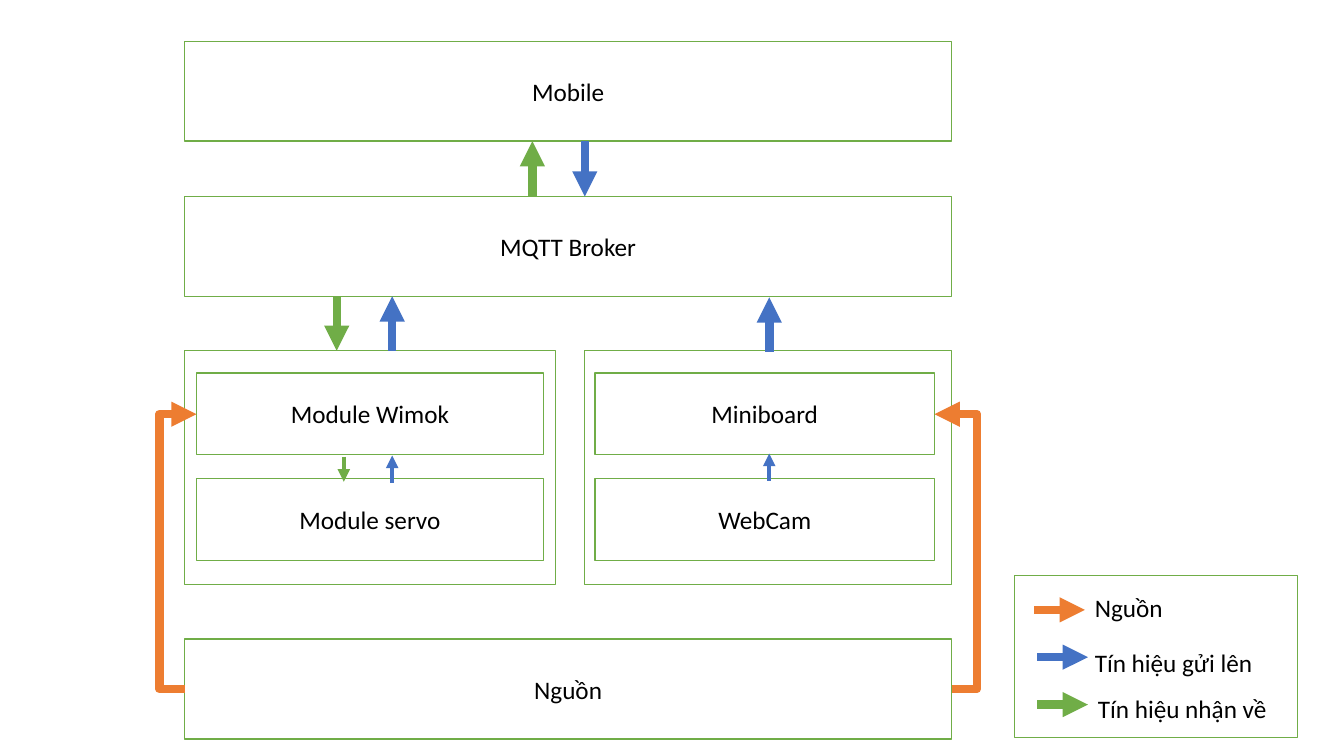
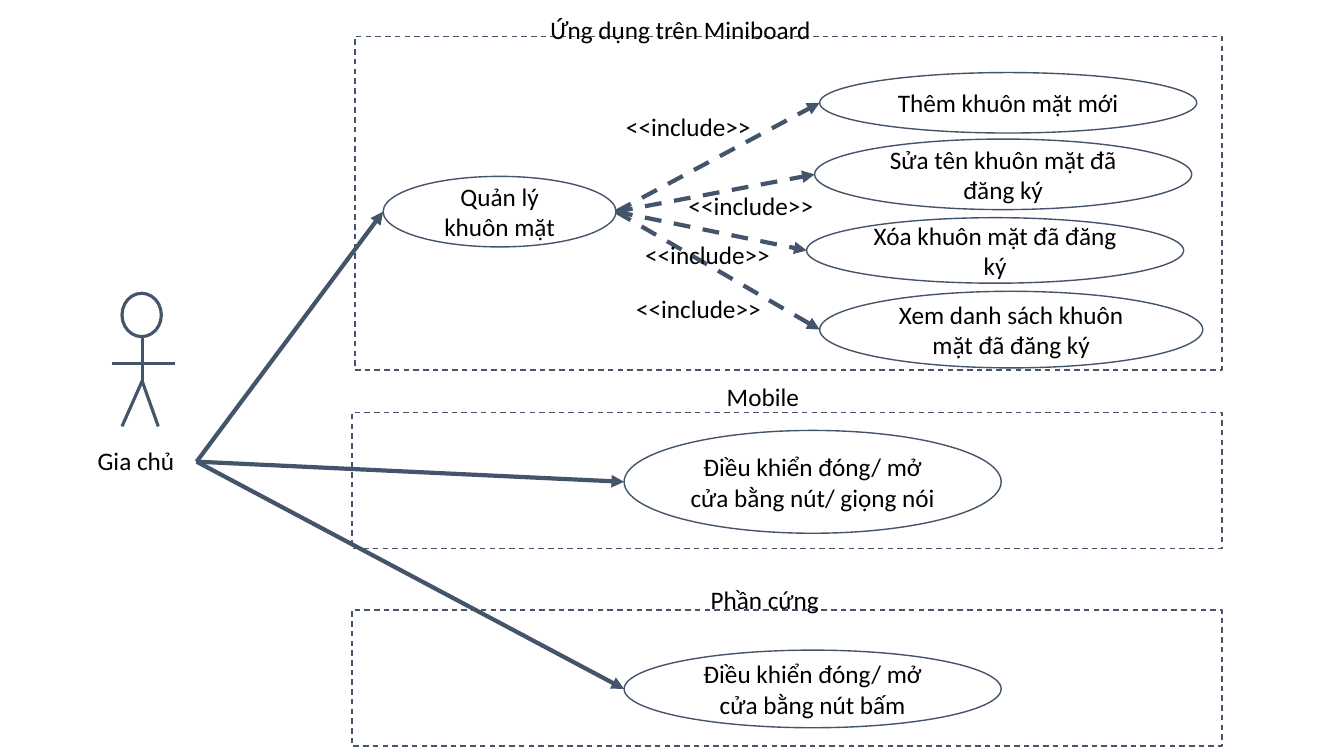
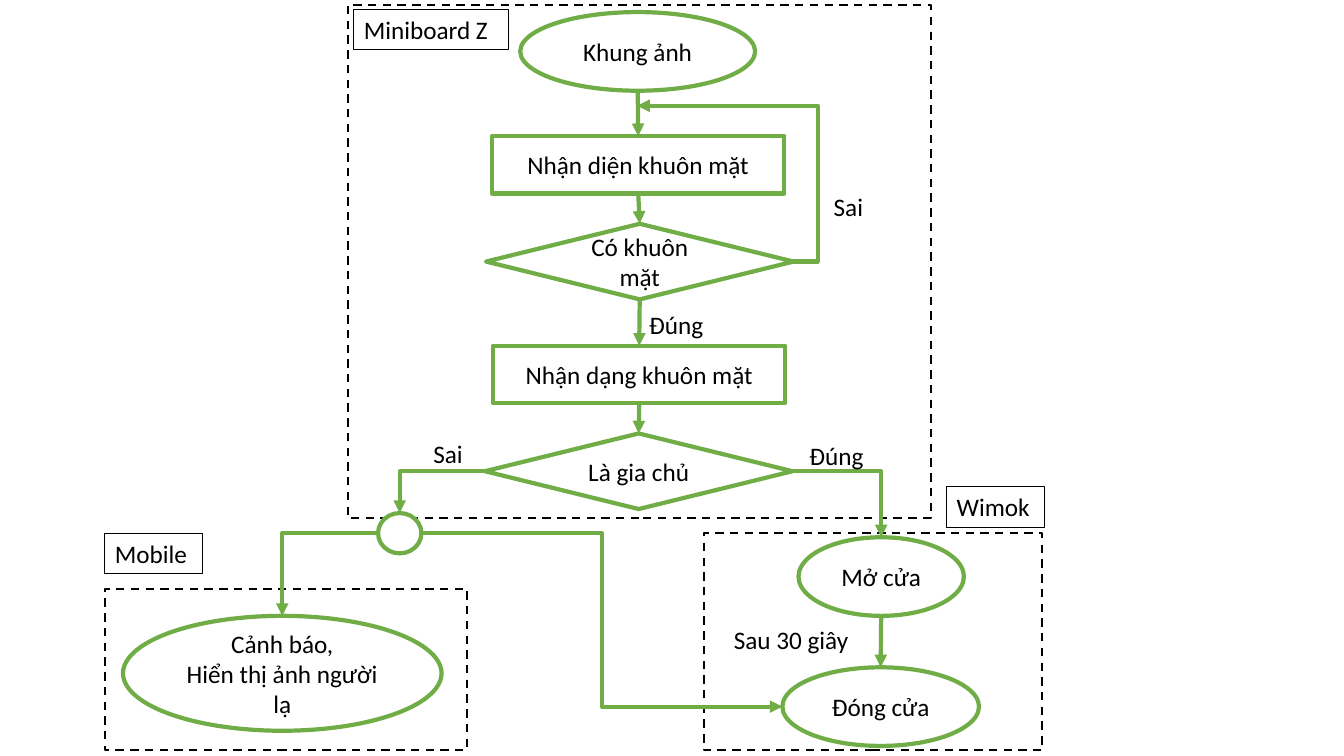
from dataclasses import dataclass
from typing import Optional

from lxml import etree
from pptx import Presentation
from pptx.dml.color import RGBColor
from pptx.enum.dml import MSO_LINE
from pptx.enum.shapes import MSO_CONNECTOR, MSO_SHAPE
from pptx.enum.text import MSO_ANCHOR, MSO_AUTO_SIZE, PP_ALIGN
from pptx.oxml.ns import qn
from pptx.slide import Slide
from pptx.text.text import TextFrame
from pptx.util import Cm, Length, Pt

RECT, OVAL, RHOMB = MSO_SHAPE.RECTANGLE, MSO_SHAPE.OVAL, MSO_SHAPE.DIAMOND
STRAIGHT, ELBOW = MSO_CONNECTOR.STRAIGHT, MSO_CONNECTOR.ELBOW
DASH = MSO_LINE.DASH
LEFT, CENTER = PP_ALIGN.LEFT, PP_ALIGN.CENTER
TOP, MIDDLE = MSO_ANCHOR.TOP, MSO_ANCHOR.MIDDLE
GROW = MSO_AUTO_SIZE.SHAPE_TO_FIT_TEXT

WHITE = RGBColor(0xFF, 0xFF, 0xFF)
BLACK = RGBColor(0x00, 0x00, 0x00)
GREEN = RGBColor(0x70, 0xAD, 0x47)
BLUE = RGBColor(0x44, 0x72, 0xC4)
ORANGE = RGBColor(0xED, 0x7D, 0x31)
SLATE = RGBColor(0x44, 0x54, 0x6A)

FONT = {"name": "Calibri", "size": Pt(18)}
BODY = {"vertical_anchor": MIDDLE, "word_wrap": True}
TAG = {"vertical_anchor": TOP, "word_wrap": True}
NOTE = {"word_wrap": False, "auto_size": GROW}
TITLE = {"word_wrap": True, "auto_size": GROW}
UNIT = 2.54

Spot = tuple[float, float]


@dataclass(frozen=True)
class Pen:
    color: RGBColor
    width: float
    dashed: bool = False


@dataclass(frozen=True)
class Box:
    x: float
    y: float
    w: float
    h: float
    text: str = ""
    form: MSO_SHAPE = RECT

    @property
    def top(self) -> Spot:
        return self.x + self.w / 2, self.y

    @property
    def low(self) -> Spot:
        return self.x + self.w / 2, self.y + self.h

    @property
    def left(self) -> Spot:
        return self.x, self.y + self.h / 2

    @property
    def right(self) -> Spot:
        return self.x + self.w, self.y + self.h / 2


@dataclass(frozen=True)
class Link:
    start: Spot
    end: Spot
    bend: Optional[float] = None


@dataclass(frozen=True)
class Label:
    text: str
    x: float
    y: float
    w: float


def size(value: float) -> Length:
    return Cm(value * UNIT)


def write(frame: TextFrame, text: str, look: dict, align: PP_ALIGN) -> None:
    for key, value in look.items():
        setattr(frame, key, value)
    frame.text = text
    for para in frame.paragraphs:
        para.alignment = align
        for key, value in FONT.items():
            setattr(para.font, key, value)
        para.font.color.rgb = BLACK


def ink(line, pen: Pen) -> None:
    line.color.rgb = pen.color
    line.width = Pt(pen.width)
    if pen.dashed:
        line.dash_style = DASH


def draw(slide: Slide, box: Box, pen: Pen, tag: bool = False) -> None:
    shape = slide.shapes.add_shape(box.form, *map(size, (box.x, box.y, box.w, box.h)))
    shape.shadow.inherit = False
    ink(shape.line, pen)
    if tag:
        shape.fill.background()
        write(shape.text_frame, box.text, TAG, LEFT)
        return
    shape.fill.solid()
    shape.fill.fore_color.rgb = WHITE
    if box.text:
        write(shape.text_frame, box.text, BODY, CENTER)


def join(slide: Slide, link: Link, pen: Pen, arrow: bool = True) -> None:
    kind = STRAIGHT if link.bend is None else ELBOW
    wire = slide.shapes.add_connector(kind, *map(size, link.start + link.end))
    ink(wire.line, pen)
    props = wire.element.spPr
    etree.SubElement(props, qn("a:effectLst"))
    if arrow:
        etree.SubElement(props.find(qn("a:ln")), qn("a:tailEnd"), type="triangle")
    if link.bend is None:
        return
    shape = props.find(qn("a:prstGeom"))
    if link.bend == link.end[0]:
        shape.set("prst", "bentConnector2")
        return
    ratio = (link.bend - link.start[0]) / (link.end[0] - link.start[0])
    guides = shape.find(qn("a:avLst"))
    etree.SubElement(guides, qn("a:gd"), name="adj1", fmla=f"val {round(ratio * 100000)}")


def note(slide: Slide, label: Label, look: dict = NOTE) -> None:
    field = slide.shapes.add_textbox(*map(size, (label.x, label.y, label.w, 0.4)))
    write(field.text_frame, label.text, look, LEFT)


def system(slide: Slide) -> None:
    thin = Pen(GREEN, 1)
    mobile, broker, power = (
        Box(1.83, y, 7.61, 0.99, text)
        for text, y in (("Mobile", 0.41), ("MQTT Broker", 1.95), ("Nguồn", 6.34))
    )
    for bar in (mobile, broker, power):
        draw(slide, bar, thin)
    groups = (
        (Box(1.83, 3.48, 3.68, 2.32), 1.95, 3.44, ("Module Wimok", "Module servo")),
        (Box(5.8, 3.48, 3.64, 2.32), 5.9, 3.37, ("Miniboard", "WebCam")),
    )
    for group, x, w, names in groups:
        draw(slide, group, thin)
        for row, name in enumerate(names):
            draw(slide, Box(x, 3.7 + 1.05 * row, w, 0.81, name), thin)
    join(slide, Link(power.right, (9.27, 4.11), 9.69), Pen(ORANGE, 6))
    join(slide, Link(power.left, (1.95, 4.11), 1.58), Pen(ORANGE, 6))
    flows = (
        (5.8, 1.4, 1.95, BLUE, 6),
        (5.28, 1.95, 1.4, GREEN, 6),
        (3.34, 2.95, 3.48, GREEN, 6),
        (3.89, 3.48, 2.94, BLUE, 6),
        (7.63, 3.49, 2.95, BLUE, 6),
        (3.41, 4.53, 4.78, GREEN, 3),
        (3.89, 4.79, 4.52, BLUE, 3),
        (7.63, 4.77, 4.5, BLUE, 3),
    )
    for x, start, end, color, width in flows:
        join(slide, Link((x, start), (x, end)), Pen(color, width))
    draw(slide, Box(10.06, 5.71, 2.81, 1.61), thin)
    keys = (
        (ORANGE, 10.26, Label("Nguồn", 10.76, 5.83, 0.95)),
        (BLUE, 10.29, Label("Tín hiệu gửi lên", 10.76, 6.37, 1.96)),
        (GREEN, 10.29, Label("Tín hiệu nhận về", 10.79, 6.83, 2.08)),
    )
    for row, (color, x, label) in enumerate(keys):
        y = 6.05 + 0.47 * row
        join(slide, Link((x, y), (x + 0.5, y)), Pen(color, 6))
        note(slide, label)


def cases(slide: Slide) -> None:
    thin, limb = Pen(SLATE, 1), Pen(SLATE, 2.25)
    frames = (
        Box(3.52, 0.36, 8.6, 3.31),
        Box(3.49, 4.09, 8.63, 1.35),
        Box(3.49, 6.05, 8.63, 1.35),
    )
    for frame in frames:
        draw(slide, frame, Pen(SLATE, 1, True))
    neck, hip = (1.41, 3.33), (1.41, 3.78)
    draw(slide, Box(1.21, 2.91, 0.39, 0.43, form=OVAL), limb)
    limbs = (
        (neck, hip),
        ((1.11, 3.61), (1.74, 3.61)),
        (hip, (1.21, 4.23)),
        (hip, (1.57, 4.23)),
    )
    for start, end in limbs:
        join(slide, Link(start, end), limb, False)
    manage = Box(3.8, 1.75, 2.31, 0.7, "Quản lý khuôn mặt", OVAL)
    voice = Box(6.19, 4.27, 3.74, 1.02, "Điều khiển đóng/ mở cửa bằng nút/ giọng nói", OVAL)
    press = Box(6.19, 6.45, 3.74, 0.77, "Điều khiển đóng/ mở cửa bằng nút bấm", OVAL)
    parts = (
        Box(8.13, 0.72, 3.74, 0.6, "Thêm khuôn mặt mới", OVAL),
        Box(8.08, 1.38, 3.74, 0.7, "Sửa tên khuôn mặt đã đăng ký", OVAL),
        Box(8, 2.16, 3.74, 0.65, "Xóa khuôn mặt đã đăng ký", OVAL),
        Box(8.13, 2.89, 3.8, 0.76, "Xem danh sách khuôn mặt đã đăng ký", OVAL),
    )
    for goal in (manage, voice, press):
        draw(slide, goal, thin)
        join(slide, Link((1.95, 4.58), goal.left), Pen(SLATE, 3))
    for part in parts:
        draw(slide, part, thin)
        join(slide, Link(manage.right, part.left), Pen(SLATE, 3, True))
    for x, y in ((6.11, 1.06), (6.73, 1.84), (6.3, 2.33), (6.21, 2.86)):
        note(slide, Label("<<include>>", x, y, 1.59))
    note(slide, Label("Gia chủ", 0.87, 4.37, 1.07))
    titles = (
        Label("Ứng dụng trên Miniboard", 5.36, 0.09, 3.05),
        Label("Mobile", 7.11, 3.73, 2.2),
        Label("Phần cứng", 6.95, 5.75, 2.2),
    )
    for title in titles:
        note(slide, title, TITLE)


def process(slide: Slide) -> None:
    bold = Pen(GREEN, 3)
    frames = (
        Box(6.98, 5.29, 3.36, 2.15),
        Box(1.04, 5.84, 3.59, 1.6),
        Box(3.45, 0.05, 5.78, 5.09),
    )
    for frame in frames:
        draw(slide, frame, Pen(BLACK, 1.5, True))
    image = Box(5.16, 0.12, 2.33, 0.78, "Khung ảnh", OVAL)
    detect = Box(4.88, 1.35, 2.9, 0.57, "Nhận diện khuôn mặt")
    face = Box(4.82, 2.22, 3.05, 0.75, "Có khuôn mặt", RHOMB)
    match = Box(4.89, 3.43, 2.9, 0.57, "Nhận dạng khuôn mặt")
    owner = Box(4.81, 4.3, 3.05, 0.75, "Là gia chủ", RHOMB)
    fork = Box(3.75, 5.09, 0.43, 0.4, form=OVAL)
    alert = Box(1.22, 6.11, 3.16, 1.14, "Cảnh báo,\nHiển thị ảnh người lạ", OVAL)
    unlock = Box(7.92, 5.33, 1.64, 0.78, "Mở cửa", OVAL)
    lock = Box(7.76, 6.62, 1.95, 0.78, "Đóng cửa", OVAL)
    for step in (image, detect, face, match, owner, fork, alert, unlock, lock):
        draw(slide, step, bold)
    chain = (image, detect, face, match, owner)
    for start, end in (*zip(chain, chain[1:]), (unlock, lock)):
        join(slide, Link(start.low, end.top), bold)
    turns = (
        Link(face.right, (6.32, 1.05), 8.11),
        Link(owner.right, unlock.top, unlock.top[0]),
        Link(owner.left, fork.top, fork.top[0]),
        Link(fork.left, alert.top, alert.top[0]),
        Link(fork.right, lock.left, 5.97),
    )
    for turn in turns:
        join(slide, turn, bold)
    labels = (
        Label("Sai", 8.17, 1.85, 0.57),
        Label("Đúng", 6.34, 3.02, 0.81),
        Label("Sai", 4.2, 4.3, 0.57),
        Label("Đúng", 7.93, 4.32, 0.81),
        Label("Sau 30 giây", 7.18, 6.14, 1.53),
    )
    for label in labels:
        note(slide, label)
    tags = (
        Box(3.51, 0.09, 1.53, 0.4, "Miniboard Z"),
        Box(1.04, 5.29, 0.97, 0.4, "Mobile"),
        Box(9.39, 4.83, 0.97, 0.4, "Wimok"),
    )
    for tag in tags:
        draw(slide, tag, Pen(BLACK, 0.75), True)


def main() -> None:
    deck = Presentation()
    deck.slide_width, deck.slide_height = size(13.33), size(7.5)
    for build in (system, cases, process):
        build(deck.slides.add_slide(deck.slide_layouts[6]))
    deck.save("out.pptx")


main()
